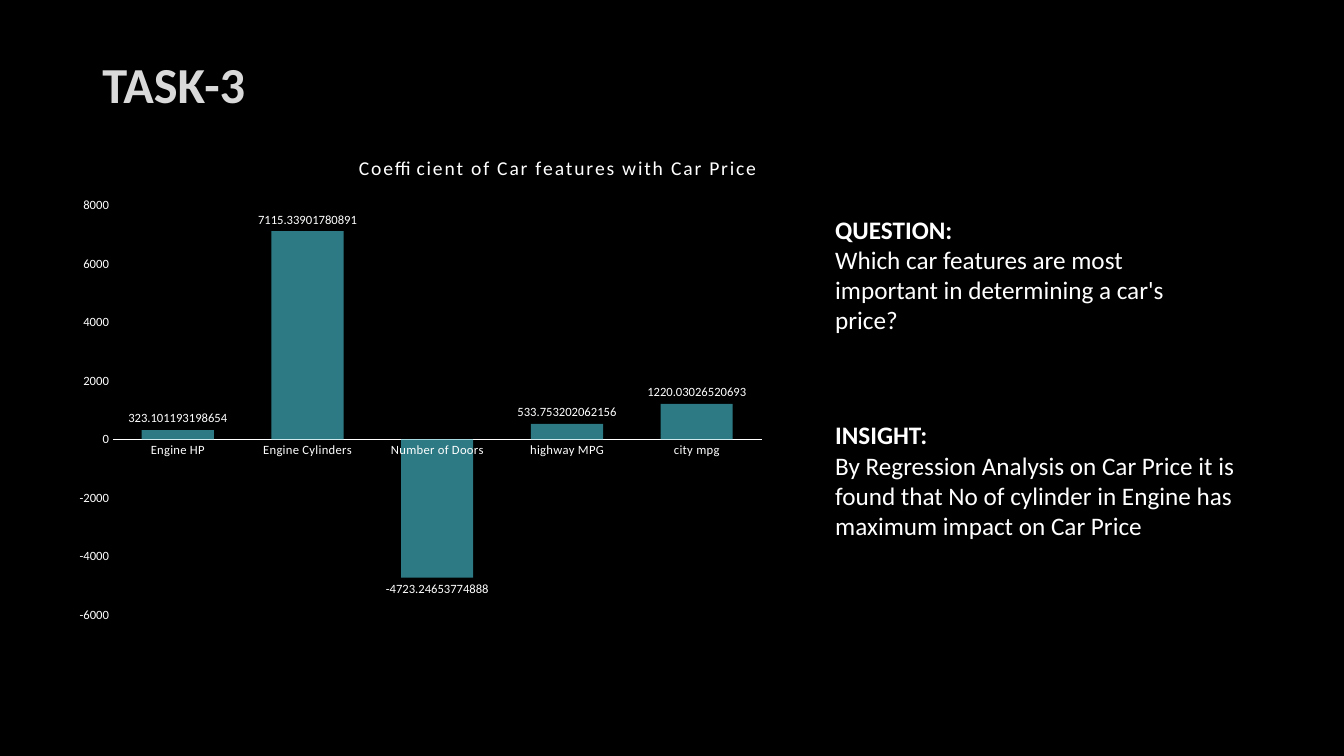
from lxml import etree
from pptx import Presentation
from pptx import util as u
from pptx.chart.data import CategoryChartData
from pptx.dml.color import RGBColor
from pptx.enum import chart as c
from pptx.enum import text as t
from pptx.oxml import ns

PX = 9525  # EMU per px, 96 px to the inch
COLORS = {"background": "000000", "title": "D9D9D9", "text": "FFFFFF", "bar": "41AEBD"}
COEFFICIENTS = {
    "Engine HP": 323.101193198654,
    "Engine Cylinders": 7115.33901780891,
    "Number of Doors": -4723.24653774888,
    "highway MPG": 533.753202062156,
    "city mpg": 1220.03026520693,
}


class SlideBuilder:
    font_name = "Calibri"

    def __init__(self, presentation):
        self.slide = presentation.slides.add_slide(presentation.slide_layouts[5])
        fill = self.slide.background.fill
        fill.solid()
        fill.fore_color.rgb = self.color("background")

    def color(self, name):
        return RGBColor.from_string(COLORS[name])

    def style(self, font, size, color="text", bold=False):
        font.name, font.size, font.bold = self.font_name, u.Pt(size), bold
        font.color.rgb = self.color(color)

    def add_run(self, paragraph, content, size, color="text", bold=False):
        run = paragraph.add_run()
        run.text = content
        self.style(run.font, size, color, bold)
        return run

    def title(self, content, left, top, width, height):
        shape = self.slide.shapes.title
        shape.left, shape.top, shape.width, shape.height = (
            v * PX for v in (left, top, width, height))
        frame = shape.text_frame
        frame.vertical_anchor = t.MSO_ANCHOR.MIDDLE
        paragraph = frame.paragraphs[0]
        paragraph.alignment = t.PP_ALIGN.LEFT
        paragraph.line_spacing = 0.9
        self.add_run(paragraph, content, 36, "title", True)

    def note(self, heading, body, left, top, width, height):
        box = self.slide.shapes.add_textbox(*(v * PX for v in (left, top, width, height)))
        frame = box.text_frame
        frame.word_wrap = True
        frame.auto_size = t.MSO_AUTO_SIZE.SHAPE_TO_FIT_TEXT
        self.add_run(frame.paragraphs[0], heading, 18, bold=True)
        self.add_run(frame.add_paragraph(), body, 18)

    def place(self, element, **fractions):
        """Give a chart title or plot area a fixed place within the chart."""
        for old in element.findall(ns.qn("c:layout")):
            element.remove(old)
        layout = etree.Element(ns.qn("c:layout"))
        manual = etree.SubElement(layout, ns.qn("c:manualLayout"))
        if "w" in fractions:
            etree.SubElement(manual, ns.qn("c:layoutTarget")).set("val", "inner")
        for key in ("x", "y"):
            etree.SubElement(manual, ns.qn(f"c:{key}Mode")).set("val", "edge")
        for key, value in fractions.items():
            etree.SubElement(manual, ns.qn(f"c:{key}")).set("val", str(value))
        text_part = element.find(ns.qn("c:tx"))
        element.insert(0 if text_part is None else 1, layout)

    def column_chart(self, heading, values, left, top, width, height):
        data = CategoryChartData()
        data.categories = list(values)
        data.add_series("Series 1", list(values.values()))
        frame = self.slide.shapes.add_chart(
            c.XL_CHART_TYPE.COLUMN_CLUSTERED,
            *(v * PX for v in (left, top, width, height)), data)
        chart = frame.chart
        self.style(chart.font, 10)
        chart.has_legend = False

        # Heading
        chart.has_title = True
        title = chart.chart_title
        run = self.add_run(title.text_frame.paragraphs[0], heading, 14)
        run.font._element.set("spc", "120")
        title.include_in_layout = False
        self.place(title._element, x=0.41, y=0.03)

        # Axes
        for axis in (chart.category_axis, chart.value_axis):
            axis.major_tick_mark = axis.minor_tick_mark = c.XL_TICK_MARK.NONE
            axis.has_major_gridlines = False
            self.style(axis.tick_labels.font, 9)
        line = chart.category_axis.format.line
        line.width = u.Pt(1.25)
        line.color.rgb = self.color("text")
        chart.category_axis.tick_labels.font._element.set("spc", "20")
        value_axis = chart.value_axis
        value_axis.format.line.fill.background()
        value_axis.minimum_scale, value_axis.maximum_scale = -6000, 8000
        value_axis.major_unit = 2000

        # Bars and their values
        plot = chart.plots[0]
        plot.gap_width, plot.overlap, plot.vary_by_categories = 80, 25, False
        series = plot.series[0]
        series.invert_if_negative = False
        fill = series.format.fill
        fill.solid()
        fill.fore_color.rgb = self.color("bar")
        bar_color = series._element.find(".//" + ns.qn("a:srgbClr"))
        etree.SubElement(bar_color, ns.qn("a:alpha")).set("val", "70000")
        labels = series.data_labels
        labels.show_value = True
        labels.position = c.XL_LABEL_POSITION.OUTSIDE_END
        self.style(labels.font, 9)
        plot_area = chart._chartSpace.find(".//" + ns.qn("c:plotArea"))
        self.place(plot_area, x=0.07, y=0.14, w=0.91, h=0.82)


def main():
    presentation = Presentation()
    presentation.slide_width, presentation.slide_height = 1280 * PX, 720 * PX
    builder = SlideBuilder(presentation)
    builder.title("TASK-3", 88, 38, 1104, 90)
    builder.column_chart("Coefficient of Car features with Car Price", COEFFICIENTS,
                         60, 129, 679, 476)

    # Question and insight
    builder.note("QUESTION:",
                 "Which car features are most important in determining a car's price?",
                 786, 199, 394, 126)
    builder.note("INSIGHT:",
                 "By Regression Analysis on Car Price it is found that No of cylinder "
                 "in Engine has maximum impact on Car Price",
                 786, 395, 415, 126)
    presentation.save("out.pptx")


if __name__ == "__main__":
    main()
